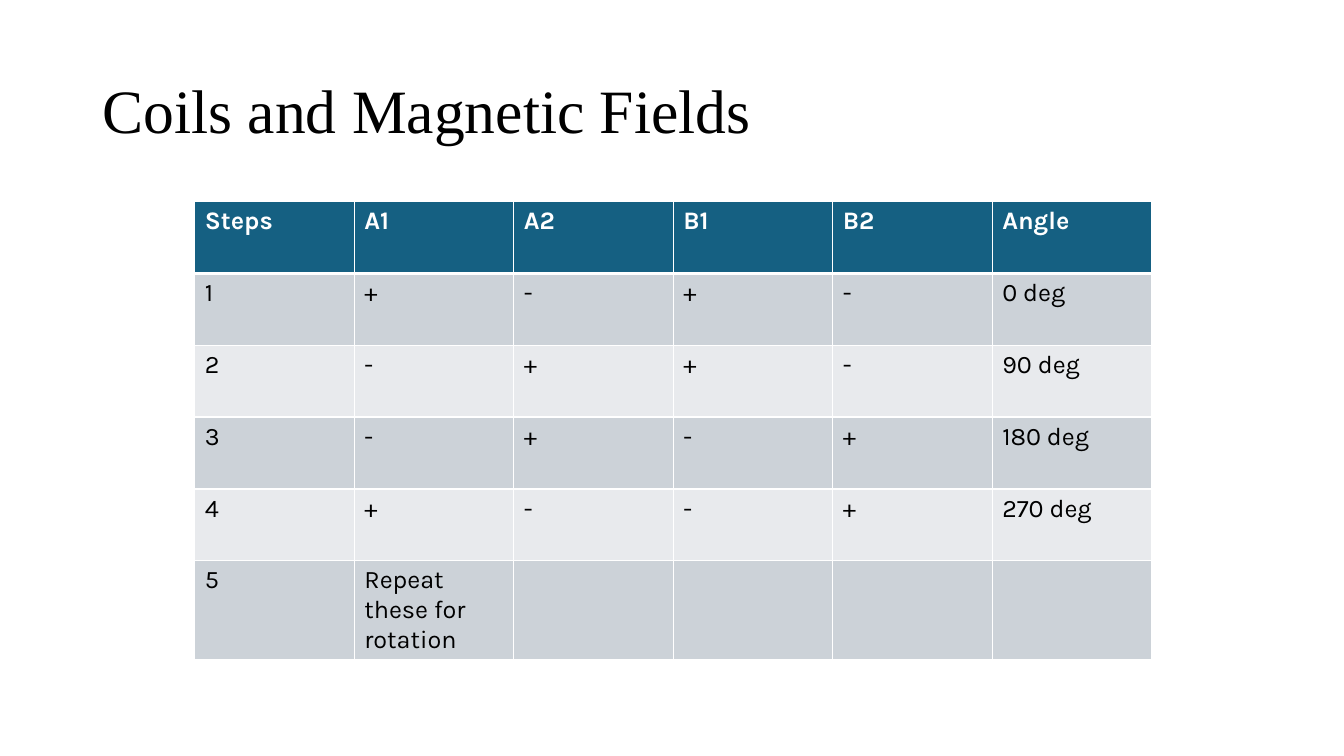
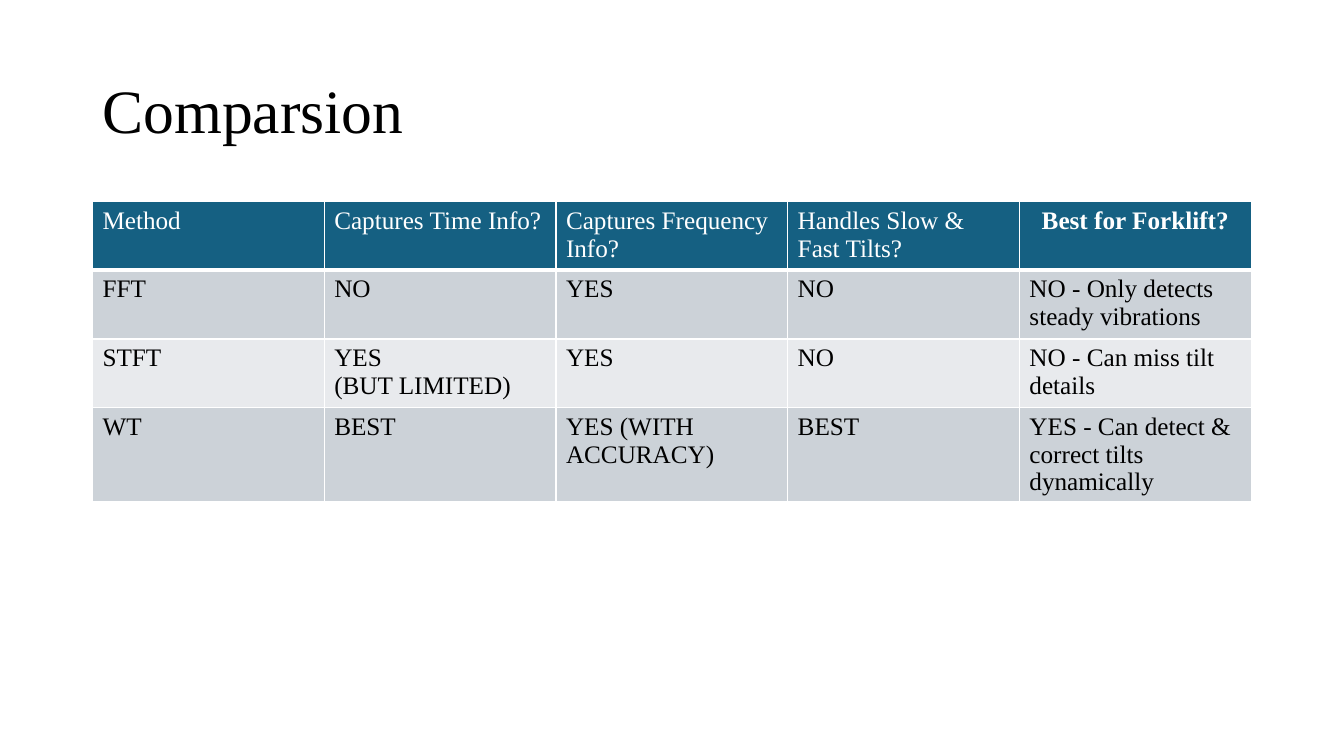
from dataclasses import dataclass

from lxml.etree import SubElement
from pptx import Presentation
from pptx.dml.color import RGBColor
from pptx.enum.text import MSO_ANCHOR, MSO_AUTO_SIZE, PP_ALIGN
from pptx.oxml.ns import qn
from pptx.util import Cm, Pt

WHITE, BLACK = "FFFFFF", "000000"
HEADER = "156082"
BANDS = ("CCD2D8", "E8EAED")
SERIF, SANS = "Times New Roman", "Karla"
TABLE_TOP = 5.08


@dataclass(frozen=True)
class TableSlide:
    """A title over a table; lengths are in centimetres."""
    title: str
    rows: list[list[str]]
    font: str
    left: float
    col_width: float
    row_height: float
    bold_headers: tuple[str, ...]
    centred_headers: tuple[str, ...] = ()


SLIDES = [
    TableSlide(
        "Coils and Magnetic Fields",
        [
            ["Steps", "A1", "A2", "B1", "B2", "Angle"],
            ["1", "+", "-", "+", "-", "0 deg"],
            ["2", "-", "+", "+", "-", "90 deg"],
            ["3", "-", "+", "-", "+", "180 deg"],
            ["4", "+", "-", "-", "+", "270 deg"],
            ["5", "Repeat these for rotation", "", "", "", ""],
        ],
        font=SANS, left=4.91, col_width=4.02, row_height=1.81,
        bold_headers=("Steps", "A1", "A2", "B1", "B2", "Angle"),
    ),
    TableSlide(
        "Comparsion",
        [
            ["Method", "Captures Time Info?", "Captures Frequency Info?",
             "Handles Slow & Fast Tilts?", "Best for Forklift?"],
            ["FFT", "NO", "YES", "NO", "NO - Only detects steady vibrations"],
            ["STFT", "YES\n(BUT LIMITED)", "YES", "NO",
             "NO - Can miss tilt details"],
            ["WT", "BEST", "YES (WITH ACCURACY)", "BEST",
             "YES - Can detect & correct tilts dynamically"],
        ],
        font=SERIF, left=2.33, col_width=5.84, row_height=1.73,
        bold_headers=("Best for Forklift?",),
        centred_headers=("Best for Forklift?",),
    ),
]


def rgb(color: str) -> RGBColor:
    return RGBColor.from_string(color)


def add_run(p, text: str, font: str, size: float, color: str,
            bold: bool = False) -> None:
    r = p.add_run()
    r.text = text
    r.font.name = font
    r.font.size = Pt(size)
    r.font.color.rgb = rgb(color)
    r.font.bold = bold


def add_title(s, text: str) -> None:
    sp = s.shapes.title
    sp.left, sp.top, sp.width, sp.height = Cm(2.33), Cm(1.01), Cm(29.21), Cm(3.68)
    tf = sp.text_frame
    tf.word_wrap = True
    tf.auto_size = MSO_AUTO_SIZE.NONE
    tf.vertical_anchor = MSO_ANCHOR.MIDDLE
    p = tf.paragraphs[0]
    p.alignment = PP_ALIGN.LEFT
    p.line_spacing = 0.9
    add_run(p, text, SERIF, 44, BLACK)


def set_borders(cell, top: float, bottom: float) -> None:
    """Draw white borders; call before filling, as the schema puts lines first."""
    tc_pr = cell._tc.get_or_add_tcPr()
    for side, width in (("L", 1), ("R", 1), ("T", top), ("B", bottom)):
        ln = SubElement(tc_pr, qn(f"a:ln{side}"), w=str(Pt(width)))
        fill = SubElement(ln, qn("a:solidFill"))
        SubElement(fill, qn("a:srgbClr"), val=WHITE)


def fill_cell(cell, text: str, row: int, spec: TableSlide) -> None:
    is_header = row == 0
    set_borders(cell, top=3 if row == 1 else 1, bottom=3 if is_header else 1)
    cell.fill.solid()
    cell.fill.fore_color.rgb = rgb(HEADER if is_header else BANDS[(row - 1) % 2])
    if not text:
        return
    p = cell.text_frame.paragraphs[0]
    if is_header and text in spec.centred_headers:
        p.alignment = PP_ALIGN.CENTER
    for i, line in enumerate(text.split("\n")):
        if i:
            p.add_line_break()
        add_run(p, line, spec.font, 18, WHITE if is_header else BLACK,
                bold=is_header and text in spec.bold_headers)


def add_table(s, spec: TableSlide) -> None:
    n_rows, n_cols = len(spec.rows), len(spec.rows[0])
    table = s.shapes.add_table(
        n_rows, n_cols, Cm(spec.left), Cm(TABLE_TOP),
        Cm(spec.col_width * n_cols), Cm(spec.row_height * n_rows)).table
    for col in table.columns:
        col.width = Cm(spec.col_width)
    for i, texts in enumerate(spec.rows):
        table.rows[i].height = Cm(spec.row_height)
        for j, text in enumerate(texts):
            fill_cell(table.cell(i, j), text, i, spec)


def main() -> None:
    prs = Presentation()
    prs.slide_width, prs.slide_height = Cm(33.87), Cm(19.05)
    title_only = prs.slide_layouts[5]
    for spec in SLIDES:
        s = prs.slides.add_slide(title_only)
        add_title(s, spec.title)
        add_table(s, spec)
    prs.save("out.pptx")


if __name__ == "__main__":
    main()
